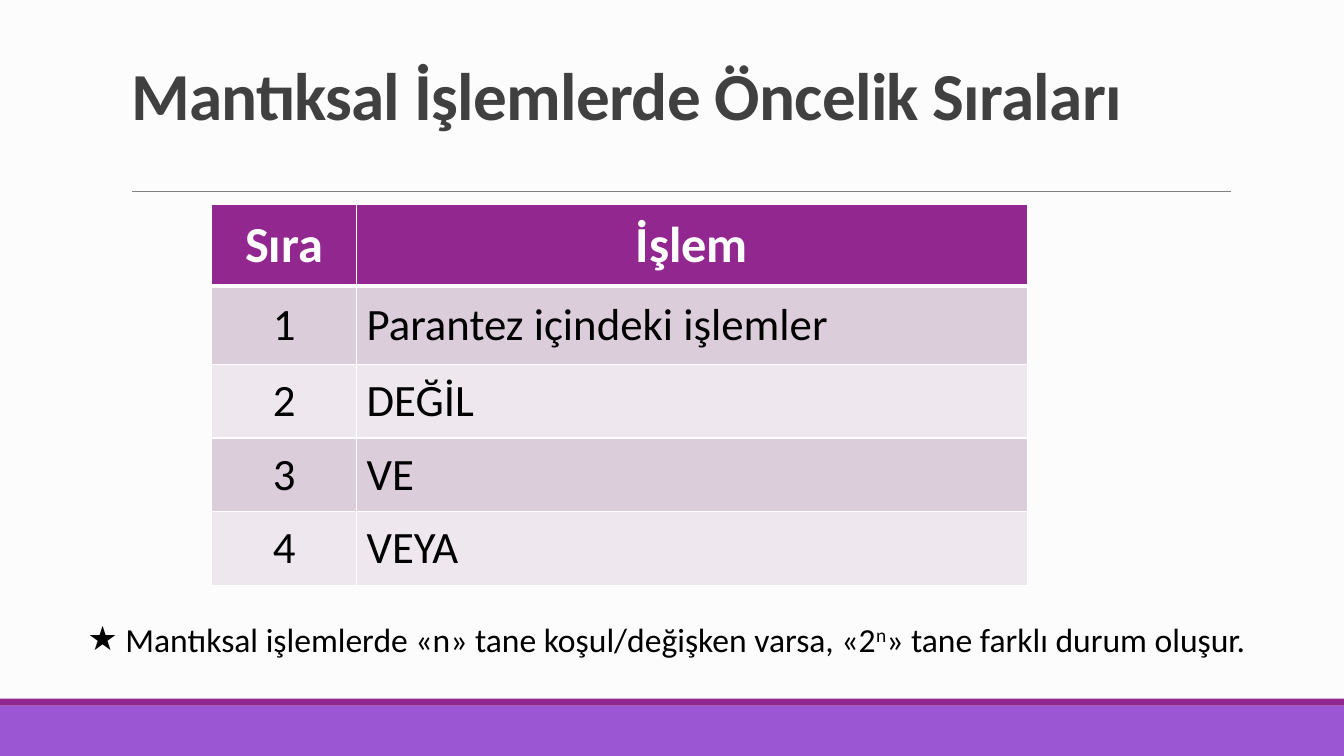
from lxml.etree import SubElement
from pptx import Presentation
from pptx.dml.color import RGBColor
from pptx.enum.shapes import MSO_CONNECTOR, MSO_SHAPE
from pptx.enum.text import MSO_ANCHOR, MSO_AUTO_SIZE, PP_ALIGN
from pptx.oxml.ns import qn
from pptx.util import Pt

COLORS = {
    "background": "FCFCFC",
    "band": "9B57D3",
    "accent": "92278F",
    "rule": "808080",
    "title": "404040",
    "text": "000000",
    "white": "FFFFFF",
    "odd_row": "DCCDDB",
    "even_row": "EEE8EE",
}
TITLE_FONT = {"name": "Calibri", "size": Pt(48), "bold": True}
HEADER_FONT = {"name": "Calibri", "size": Pt(36), "bold": True}
CELL_FONT = {"name": "Calibri", "size": Pt(32), "bold": False}
NOTE_FONT = {"name": "Calibri", "size": Pt(24), "bold": False}
ROWS = [
    ("Sıra", "İşlem"),
    ("1", "Parantez içindeki işlemler"),
    ("2", "DEĞİL"),
    ("3", "VE"),
    ("4", "VEYA"),
]
NOTE_SPANS = [
    ("Mantıksal işlemlerde «n» tane koşul/değişken varsa, «2", 0),
    ("n", 30000),
    ("» tane farklı durum oluşur.", 0),
]


def rgb(name):
    """Return the named colour."""
    return RGBColor.from_string(COLORS[name])


def set_values(target, values):
    """Set each attribute of the target from a dict."""
    for name, value in values.items():
        setattr(target, name, value)


def add_span(para, text, font, color):
    """Add a formatted run to a paragraph."""
    span = para.add_run()
    span.text = text
    set_values(span.font, font)
    span.font.color.rgb = rgb(color)
    return span


def place(shape, box):
    """Move a shape to a box given in points."""
    set_values(shape, dict(zip(("left", "top", "width", "height"), map(Pt, box))))


def add_footer(page, box):
    """Draw the bottom band with its accent strip along the top edge."""
    left, top, width, height = box
    strip = 5
    parts = [("band", top + strip, height - strip), ("accent", top, strip)]
    for color, part_top, part_height in parts:
        bar = page.shapes.add_shape(
            MSO_SHAPE.RECTANGLE, Pt(left), Pt(part_top), Pt(width), Pt(part_height)
        )
        bar.shadow.inherit = False
        bar.fill.solid()
        bar.fill.fore_color.rgb = rgb(color)
        bar.line.fill.background()


def add_heading(page, box):
    """Fill the title placeholder and draw the rule below it."""
    left, top, width, height = box
    title = page.shapes.title
    place(title, box)
    set_values(title.text_frame, {
        "auto_size": MSO_AUTO_SIZE.NONE,
        "vertical_anchor": MSO_ANCHOR.BOTTOM,
        "word_wrap": True,
    })
    para = title.text_frame.paragraphs[0]
    set_values(para, {"alignment": PP_ALIGN.LEFT, "line_spacing": 0.85})
    span = add_span(para, "Mantıksal İşlemlerde Öncelik Sıraları", TITLE_FONT, "title")
    span._r.get_or_add_rPr().set("spc", "-50")

    rule_top = Pt(top + height + 37.5)
    rule = page.shapes.add_connector(
        MSO_CONNECTOR.STRAIGHT, Pt(left + 8), rule_top, Pt(left + width), rule_top
    )
    rule.line.color.rgb = rgb("rule")
    rule.line.width = Pt(0.5)
    SubElement(rule._element.spPr, qn("a:effectLst"))


def add_borders(cell, widths):
    """Give a cell white borders with the widths of its four sides."""
    properties = cell._tc.get_or_add_tcPr()
    for side, width in widths.items():
        line = SubElement(properties, qn(f"a:ln{side}"), w=str(Pt(width)))
        fill = SubElement(line, qn("a:solidFill"))
        SubElement(fill, qn("a:srgbClr"), val=COLORS["white"])


def add_priority_table(page, box):
    """Draw the table of operator priorities."""
    left, top, width, height = box
    table = page.shapes.add_table(
        len(ROWS), 2, Pt(left), Pt(top), Pt(width), Pt(height)
    ).table
    order_width = 103.5
    for column, column_width in zip(table.columns, (order_width, width - order_width)):
        column.width = Pt(column_width)
    header_height, first_height = 58.3, 56.2
    other_height = (height - header_height - first_height) / 3
    row_heights = [header_height, first_height] + [other_height] * 3
    for row_index, (texts, row_height) in enumerate(zip(ROWS, row_heights)):
        table.rows[row_index].height = Pt(row_height)
        is_header = row_index == 0
        row_fill = "odd_row" if row_index % 2 else "even_row"
        for column_index, text in enumerate(texts):
            cell = table.cell(row_index, column_index)
            add_borders(cell, {
                "L": 1,
                "R": 1,
                "T": 3 if row_index == 1 else 1,
                "B": 3 if is_header else 1,
            })
            cell.fill.solid()
            cell.fill.fore_color.rgb = rgb("accent" if is_header else row_fill)
            cell.vertical_anchor = MSO_ANCHOR.MIDDLE
            para = cell.text_frame.paragraphs[0]
            centered = is_header or column_index == 0
            para.alignment = PP_ALIGN.CENTER if centered else PP_ALIGN.LEFT
            add_span(
                para,
                text,
                HEADER_FONT if is_header else CELL_FONT,
                "white" if is_header else "text",
            )


def add_note(page, box):
    """Fill the body placeholder with the starred remark."""
    note = page.placeholders[1]
    place(note, box)
    set_values(note.text_frame, {
        "auto_size": MSO_AUTO_SIZE.SHAPE_TO_FIT_TEXT,
        "vertical_anchor": MSO_ANCHOR.TOP,
        "word_wrap": True,
    })
    para = note.text_frame.paragraphs[0]
    set_values(para, {"alignment": PP_ALIGN.LEFT, "space_before": Pt(0)})
    properties = para._p.get_or_add_pPr()
    indent = Pt(27)
    properties.set("marL", str(indent))
    properties.set("indent", str(-indent))
    SubElement(properties, qn("a:buChar"), char="★")
    for text, baseline in NOTE_SPANS:
        span = add_span(para, text, NOTE_FONT, "text")
        if baseline:
            span._r.get_or_add_rPr().set("baseline", str(baseline))


def main():
    """Build the slide and save the deck."""
    deck = Presentation()
    set_values(deck, {"slide_width": Pt(960), "slide_height": Pt(540)})
    page = deck.slides.add_slide(deck.slide_layouts[1])
    page.background.fill.solid()
    page.background.fill.fore_color.rgb = rgb("background")
    add_footer(page, (0, 499, 960, 41))
    add_heading(page, (86.4, 22.3, 792.7, 77))
    add_priority_table(page, (151.2, 145.8, 582.5, 272.5))
    add_note(page, (55.4, 438.5, 854.6, 36))
    deck.save("out.pptx")


if __name__ == "__main__":
    main()
